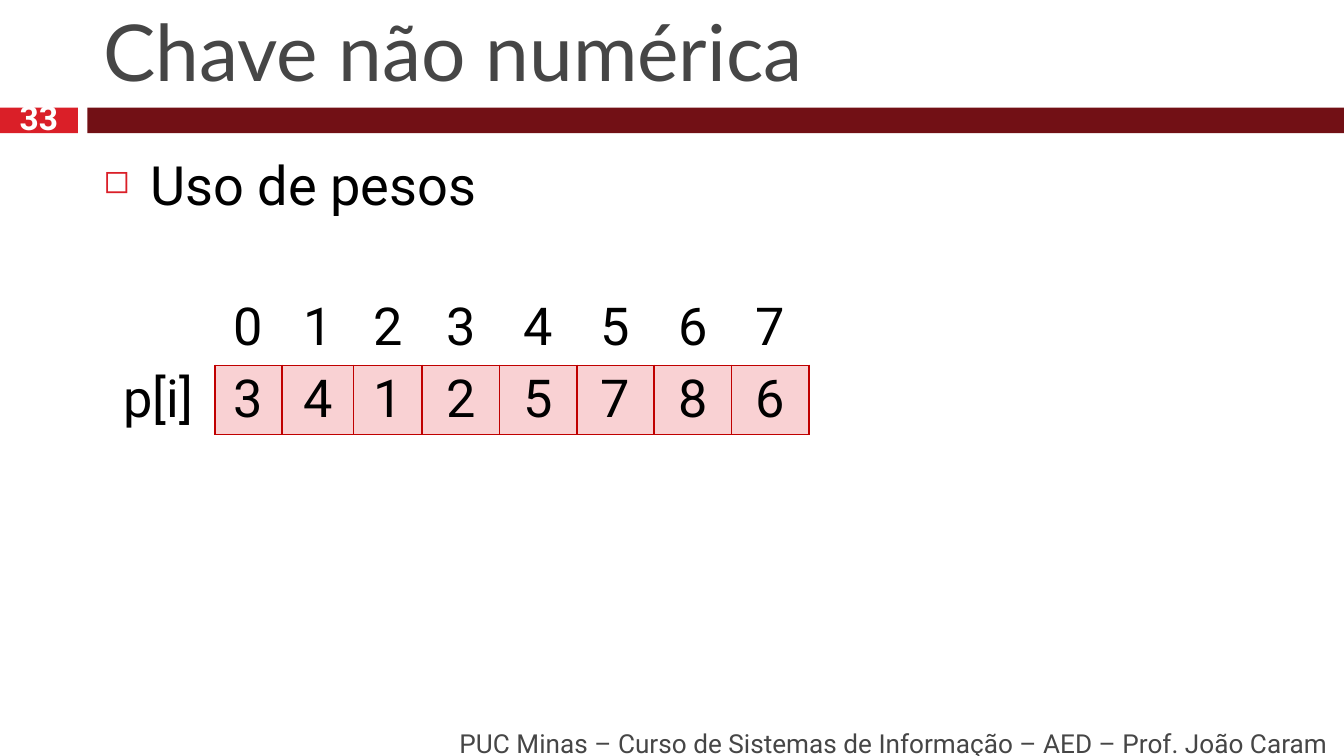
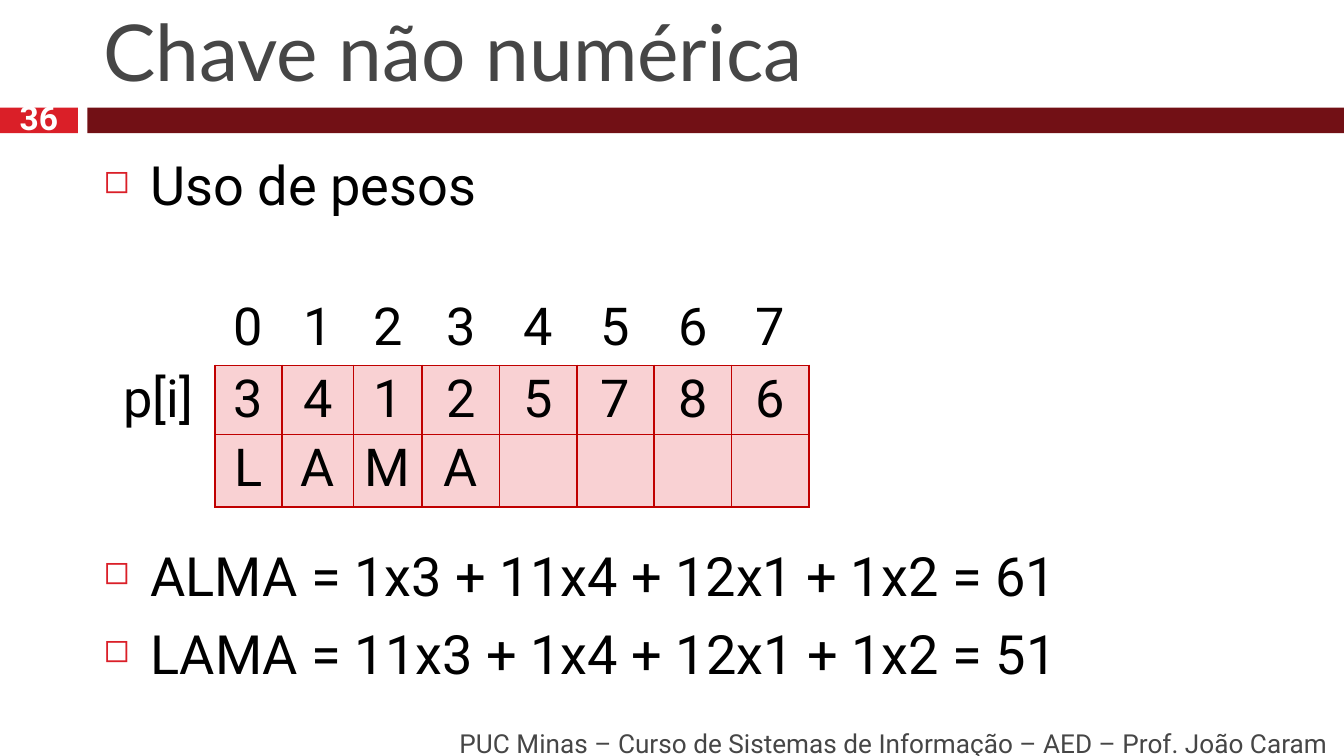
from lxml.etree import SubElement
from pptx import Presentation
from pptx.dml.color import RGBColor
from pptx.enum.shapes import MSO_SHAPE
from pptx.enum.text import MSO_ANCHOR, PP_ALIGN
from pptx.oxml import parse_xml
from pptx.oxml.ns import nsdecls, qn
from pptx.util import Inches, Pt

COLORS = {
    "accent": "DA1F28",
    "band": "721015",
    "gray": "464646",
    "black": "000000",
    "white": "FFFFFF",
    "cell": "F9D1D3",
    "border": "C00000",
}
TITLE_FONT, BODY_FONT = "Lato", "Roboto"
FOOTER = "PUC Minas – Curso de Sistemas de Informação – AED – Prof. João Caram"

# The last five columns share the remaining width equally
COLUMN_WIDTHS = [0.84, 0.5, 0.53, 0.51] + [2.88 / 5] * 5
ROW_HEIGHTS = [0.54, 0.51, 0.54]
INDEX_ROW = ["", *"01234567"]
WEIGHT_ROW = ["p[i]", *"34125786"]
WORD_ROW = ["", *"LAMA", "", "", "", ""]


class Deck:
    """Holds the shared style and the current slide."""

    def __init__(self):
        self.presentation = Presentation()
        self.presentation.slide_width = Inches(10)
        self.presentation.slide_height = Inches(10) * 9 // 16
        self.slide = None

    def color(self, name):
        return RGBColor.from_string(COLORS[name])

    def new_slide(self, title, number):
        layout = self.presentation.slide_layouts[6]
        self.slide = self.presentation.slides.add_slide(layout)
        # Bands under the title
        self.band(0, 0.58, "accent")
        self.band(0.65, 9.35, "band")
        # Title, footer and page number
        self.label(title, 0.67, 0.13, 9.22, 0.64, 42, "gray",
                   font=TITLE_FONT, anchor=MSO_ANCHOR.BOTTOM)
        self.label(FOOTER, 1.06, 5.38, 8.92, 0.3, 14, "gray", align=PP_ALIGN.RIGHT)
        self.label(str(number), 0, 0.77, 0.58, 0.2, 18, "white",
                   align=PP_ALIGN.CENTER, bold=True)

    def band(self, left, width, color):
        shape = self.slide.shapes.add_shape(
            MSO_SHAPE.RECTANGLE, Inches(left), Inches(0.8), Inches(width), Inches(0.19))
        shape.shadow.inherit = False
        shape.fill.solid()
        shape.fill.fore_color.rgb = self.color(color)
        shape.line.fill.background()

    def text_frame(self, left, top, width, height, anchor):
        shape = self.slide.shapes.add_textbox(
            Inches(left), Inches(top), Inches(width), Inches(height))
        shape.text_frame.word_wrap = True
        shape.text_frame.vertical_anchor = anchor
        return shape.text_frame

    def run(self, paragraph, text, size, color="black", font=BODY_FONT, bold=False):
        run = paragraph.add_run()
        run.text = text
        run.font.size = Pt(size)
        run.font.name = font
        run.font.bold = bold
        run.font.color.rgb = self.color(color)

    def label(self, text, left, top, width, height, size, color, font=BODY_FONT,
              align=PP_ALIGN.LEFT, anchor=MSO_ANCHOR.MIDDLE, bold=False):
        frame = self.text_frame(left, top, width, height, anchor)
        paragraph = frame.paragraphs[0]
        paragraph.alignment = align
        self.run(paragraph, text, size, color, font, bold)

    def bullets(self, items):
        """Items are pairs of text and space before, in points."""
        frame = self.text_frame(0.67, 1.08, 9.22, 4.25, MSO_ANCHOR.TOP)
        for index, (text, space) in enumerate(items):
            paragraph = frame.add_paragraph() if index else frame.paragraphs[0]
            paragraph.space_before = Pt(space)
            properties = paragraph._p.get_or_add_pPr()
            properties.set("marL", str(Inches(0.35)))
            properties.set("indent", str(-Inches(0.35)))
            bullet_color = SubElement(properties, qn("a:buClr"))
            SubElement(bullet_color, qn("a:srgbClr"), val=COLORS["accent"])
            SubElement(properties, qn("a:buSzPct"), val="60000")
            SubElement(properties, qn("a:buChar"), char="◻")
            self.run(paragraph, text, 29)

    def weight_table(self, rows):
        heights = ROW_HEIGHTS[:len(rows)]
        table = self.slide.shapes.add_table(
            len(rows), len(COLUMN_WIDTHS), Inches(0.76), Inches(2.18),
            Inches(sum(COLUMN_WIDTHS)), Inches(sum(heights))).table
        table.first_row = table.horz_banding = False
        for column, width in zip(table.columns, COLUMN_WIDTHS):
            column.width = Inches(width)
        for row, height in zip(table.rows, heights):
            row.height = Inches(height)
        for row_index, values in enumerate(rows):
            for column_index, value in enumerate(values):
                self.cell(table.cell(row_index, column_index), value,
                          row_index, column_index, len(rows))

    def cell(self, cell, value, row, column, row_count):
        def boxed(row, column):
            return 0 < row < row_count and 0 < column < len(COLUMN_WIDTHS)

        cell.margin_left = cell.margin_right = Inches(0.07)
        cell.margin_top, cell.margin_bottom = Inches(0.05), Inches(0.03)
        if boxed(row, column):
            cell.fill.solid()
            cell.fill.fore_color.rgb = self.color("cell")
        else:
            cell.fill.background()
        # A side is drawn when it touches a boxed cell
        neighbors = {"L": (row, column - 1), "R": (row, column + 1),
                     "T": (row - 1, column), "B": (row + 1, column)}
        for order, (side, neighbor) in enumerate(neighbors.items()):
            drawn = boxed(row, column) or boxed(*neighbor)
            fill = (f'<a:solidFill><a:srgbClr val="{COLORS["border"]}"/></a:solidFill>'
                    if drawn else "<a:noFill/>")
            line = parse_xml(f'<a:ln{side} {nsdecls("a")} w="{Pt(1)}">{fill}</a:ln{side}>')
            cell._tc.get_or_add_tcPr().insert(order, line)
        if value:
            paragraph = cell.text_frame.paragraphs[0]
            paragraph.alignment = PP_ALIGN.CENTER
            paragraph.line_spacing = 0.93
            self.run(paragraph, value, 28)


def main():
    deck = Deck()
    title, topic = "Chave não numérica", ("Uso de pesos", 0)

    # Weights by position
    deck.new_slide(title, 33)
    deck.bullets([topic])
    deck.weight_table([INDEX_ROW, WEIGHT_ROW])

    # Weights applied to a word; the wide gap leaves room for the table
    deck.new_slide(title, 36)
    deck.bullets([
        topic,
        ("ALMA = 1x3 + 11x4 + 12x1 + 1x2 = 61", 174.5),
        ("LAMA = 11x3 + 1x4 + 12x1 + 1x2 = 51", 7),
    ])
    deck.weight_table([INDEX_ROW, WEIGHT_ROW, WORD_ROW])

    deck.presentation.save("out.pptx")


if __name__ == "__main__":
    main()
